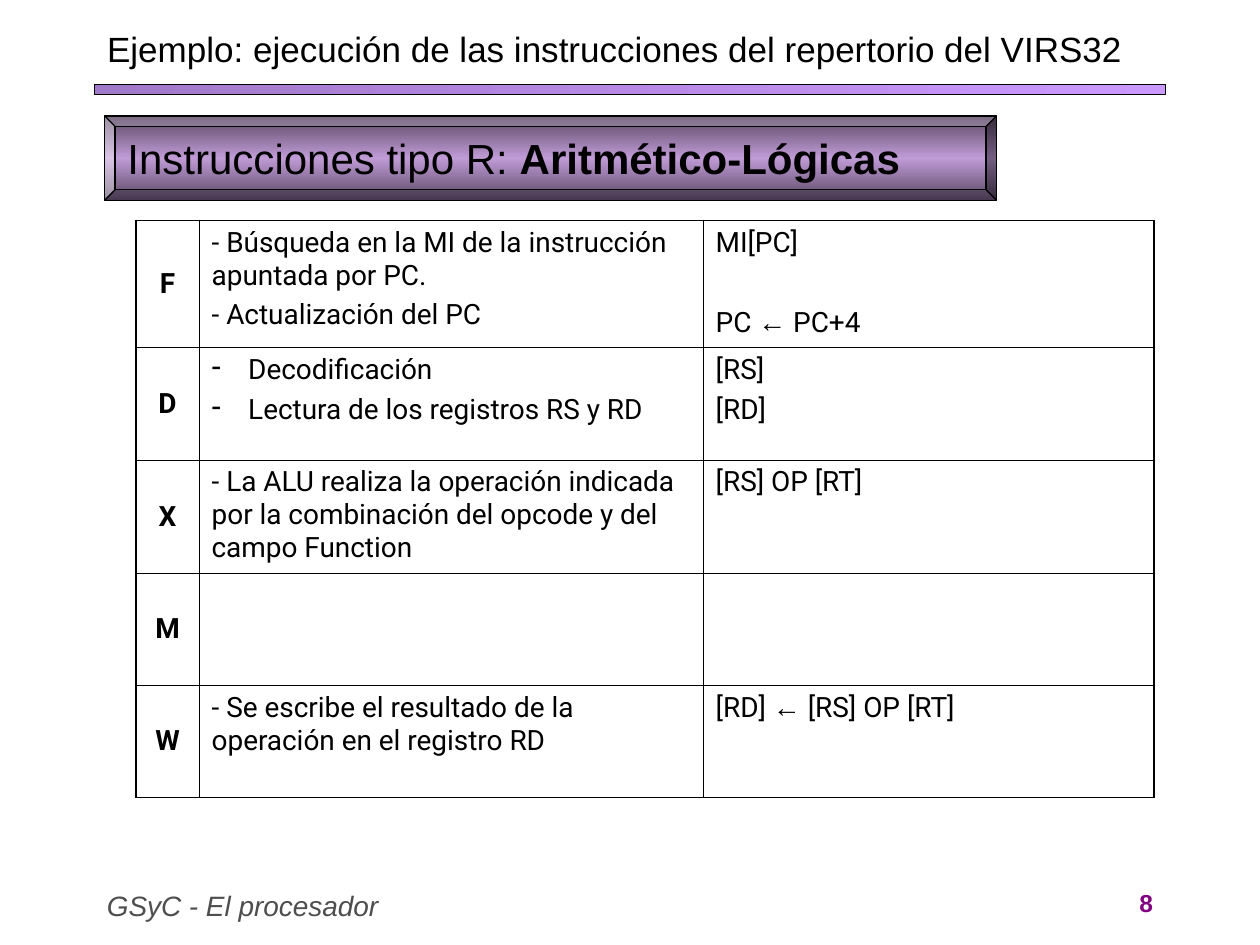
from copy import deepcopy

from lxml import etree
from pptx import Presentation
from pptx.dml.color import RGBColor
from pptx.enum.shapes import MSO_SHAPE
from pptx.enum.text import MSO_ANCHOR, MSO_AUTO_SIZE, PP_ALIGN
from pptx.oxml.ns import qn
from pptx.util import Inches, Pt

RECTANGLE, BEVEL = MSO_SHAPE.RECTANGLE, MSO_SHAPE.BEVEL
TOP, MIDDLE = MSO_ANCHOR.TOP, MSO_ANCHOR.MIDDLE
LEFT, CENTER, RIGHT = PP_ALIGN.LEFT, PP_ALIGN.CENTER, PP_ALIGN.RIGHT

BLACK = RGBColor(0x00, 0x00, 0x00)
GRAY = RGBColor(0x4E, 0x4E, 0x4E)
PURPLE = RGBColor(0x80, 0x00, 0x80)
LILAC = RGBColor(0xCC, 0x99, 0xFF)
VIOLET = RGBColor(0xA1, 0x79, 0xC9)
DARK_PLUM = RGBColor(0x59, 0x48, 0x63)
LIGHT_PLUM = RGBColor(0xC0, 0x9B, 0xD6)

THIN, THICK = Pt(0.45), Pt(1.08)
MARGIN = 0.75
COLUMNS = [0.5, 4, 3.58]
ROWS = [1.01, 0.89, 0.9, 0.89, 0.89]
STAGES = [
    ("F", ["- Búsqueda en la MI de la instrucción apuntada por PC.",
           "- Actualización del PC"], ["MI[PC]", "PC ← PC+4"]),
    ("D", ["Decodificación", "Lectura de los registros RS y RD"], ["[RS]", "[RD]"]),
    ("X", ["- La ALU realiza la operación indicada por la combinación "
           "del opcode y del campo Function"], ["[RS] OP [RT]"]),
    ("M", [], []),
    ("W", ["- Se escribe el resultado de la operación en el registro RD"],
     ["[RD] ← [RS] OP [RT]"]),
]


def write(para, text, size, color=BLACK, name="Arial", align=LEFT, bold=False, italic=False):
    para.alignment = align
    for index, part in enumerate(text.partition("←")):
        if part:
            span = para.add_run()
            span.text = part
            font = span.font
            font.name = "Arial" if index == 1 else name
            font.size, font.bold, font.italic = Pt(size), bold, italic
            font.color.rgb = color


def add_gradient_shape(kind, left, top, width, height, colors, angle):
    shape = slide.shapes.add_shape(kind, Inches(left), Inches(top), Inches(width), Inches(height))
    shape.shadow.inherit = False
    shape.line.color.rgb = BLACK
    shape.line.width = Pt(0.75)
    shape.fill.gradient()
    shape.fill.gradient_angle = angle
    stop_list = shape.fill._fill._gradFill.find(qn("a:gsLst"))
    for _ in colors[2:]:
        stop_list.append(deepcopy(stop_list[0]))
    for index, (stop, color) in enumerate(zip(shape.fill.gradient_stops, colors)):
        stop.position = index / (len(colors) - 1)
        stop.color.rgb = color
    return shape


deck = Presentation()
deck.slide_width, deck.slide_height = Inches(10), Inches(7.5)
slide = deck.slides.add_slide(deck.slide_layouts[5])

add_gradient_shape(RECTANGLE, MARGIN, 0.67, 8.5, 0.08, [VIOLET, LILAC], 0)

title = slide.shapes.title
title.left, title.top = Inches(MARGIN), Inches(0.17)
title.width, title.height = Inches(8.33), Inches(0.44)
title.text_frame.auto_size = MSO_AUTO_SIZE.NONE
title.text_frame.vertical_anchor = TOP
write(title.text_frame.paragraphs[0],
      "Ejemplo: ejecución de las instrucciones del repertorio del VIRS32", 20)

for left, width, text, style in [
    (MARGIN, 7.67, "GSyC - El procesador", dict(size=16, color=GRAY, italic=True)),
    (8.58, 0.67, "8", dict(size=14, color=PURPLE, align=RIGHT, bold=True)),
]:
    box = slide.shapes.add_textbox(Inches(left), Inches(7), Inches(width), Inches(0.33))
    box.text_frame.word_wrap = True
    write(box.text_frame.paragraphs[0], text, **style)

banner = add_gradient_shape(BEVEL, 0.83, 0.92, 7.08, 0.67, [DARK_PLUM, LIGHT_PLUM, DARK_PLUM], 90)
banner.text_frame.vertical_anchor = MIDDLE
heading = banner.text_frame.paragraphs[0]
write(heading, "Instrucciones tipo R: ", 24)
write(heading, "Aritmético-Lógicas", 24, bold=True)

table = slide.shapes.add_table(len(ROWS), len(COLUMNS), Inches(1.08), Inches(1.75),
                               Inches(sum(COLUMNS)), Inches(sum(ROWS))).table
table.first_row = table.horz_banding = False
for column, width in zip(table.columns, COLUMNS):
    column.width = Inches(width)
for row, height in zip(table.rows, ROWS):
    row.height = Inches(height)

for r, (stage, actions, transfers) in enumerate(STAGES):
    for c, lines in enumerate([[stage], actions, transfers]):
        cell = table.cell(r, c)
        cell.vertical_anchor = TOP if c else MIDDLE
        for i, line in enumerate(lines):
            para = cell.text_frame.paragraphs[0] if i == 0 else cell.text_frame.add_paragraph()
            if stage == "D" and c == 1:
                properties = para._p.get_or_add_pPr()
                properties.set("marL", str(Inches(0.29)))
                properties.set("indent", str(-Inches(0.29)))
                etree.SubElement(properties, qn("a:buChar"), char="-")
            if i:
                para.space_before = Pt(26.75 if line.startswith("PC") else 4)
            write(para, line, 16, name="Roboto", align=LEFT if c else CENTER, bold=c == 0)
        edges = {"L": c == 0, "R": c == len(COLUMNS) - 1, "T": r == 0, "B": r == len(ROWS) - 1}
        for side, outer in edges.items():
            border = etree.SubElement(cell._tc.get_or_add_tcPr(), qn(f"a:ln{side}"),
                                      w=str(THICK if outer else THIN))
            fill = etree.SubElement(border, qn("a:solidFill"))
            etree.SubElement(fill, qn("a:srgbClr"), val=str(BLACK))
        cell.fill.background()

deck.save("out.pptx")
